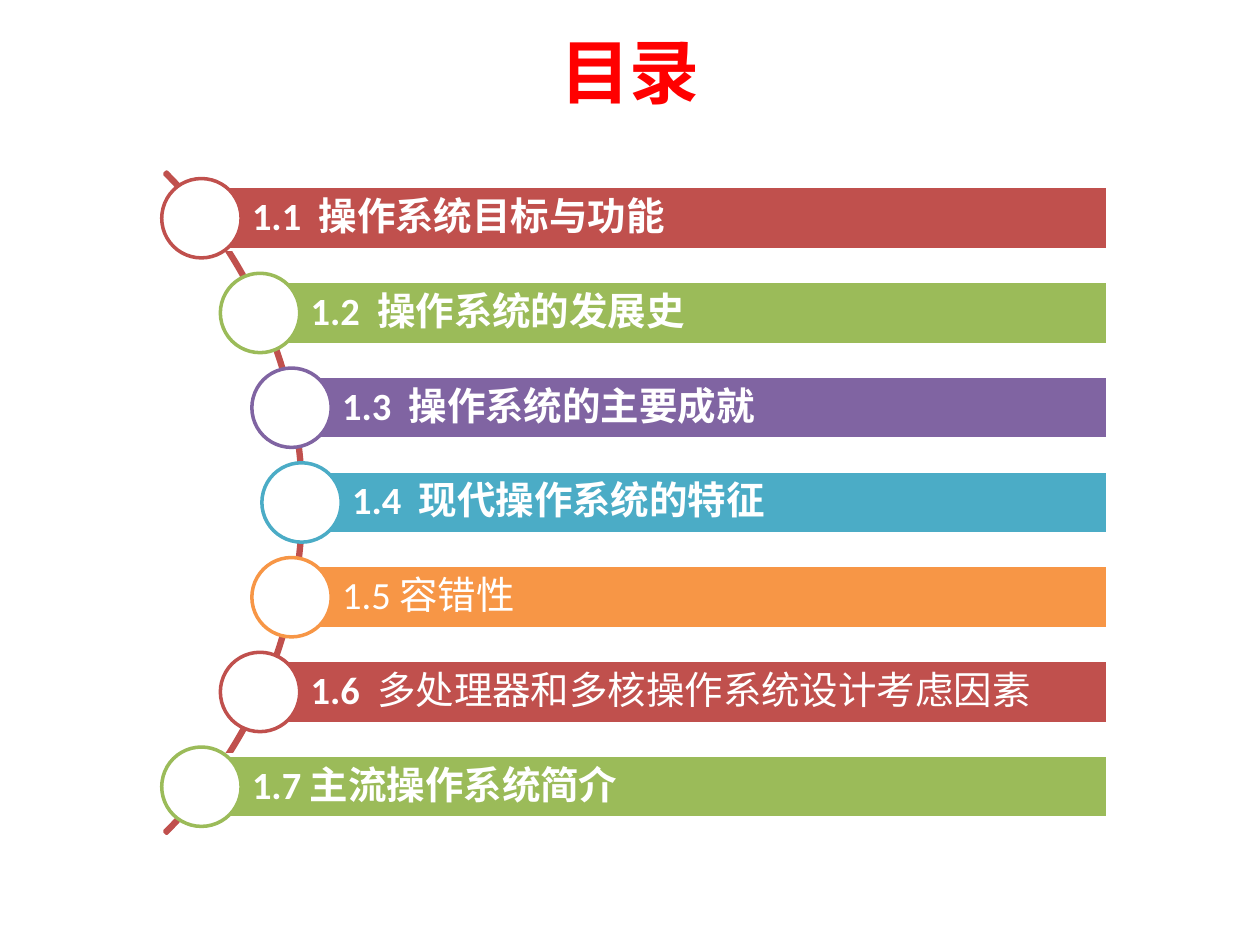
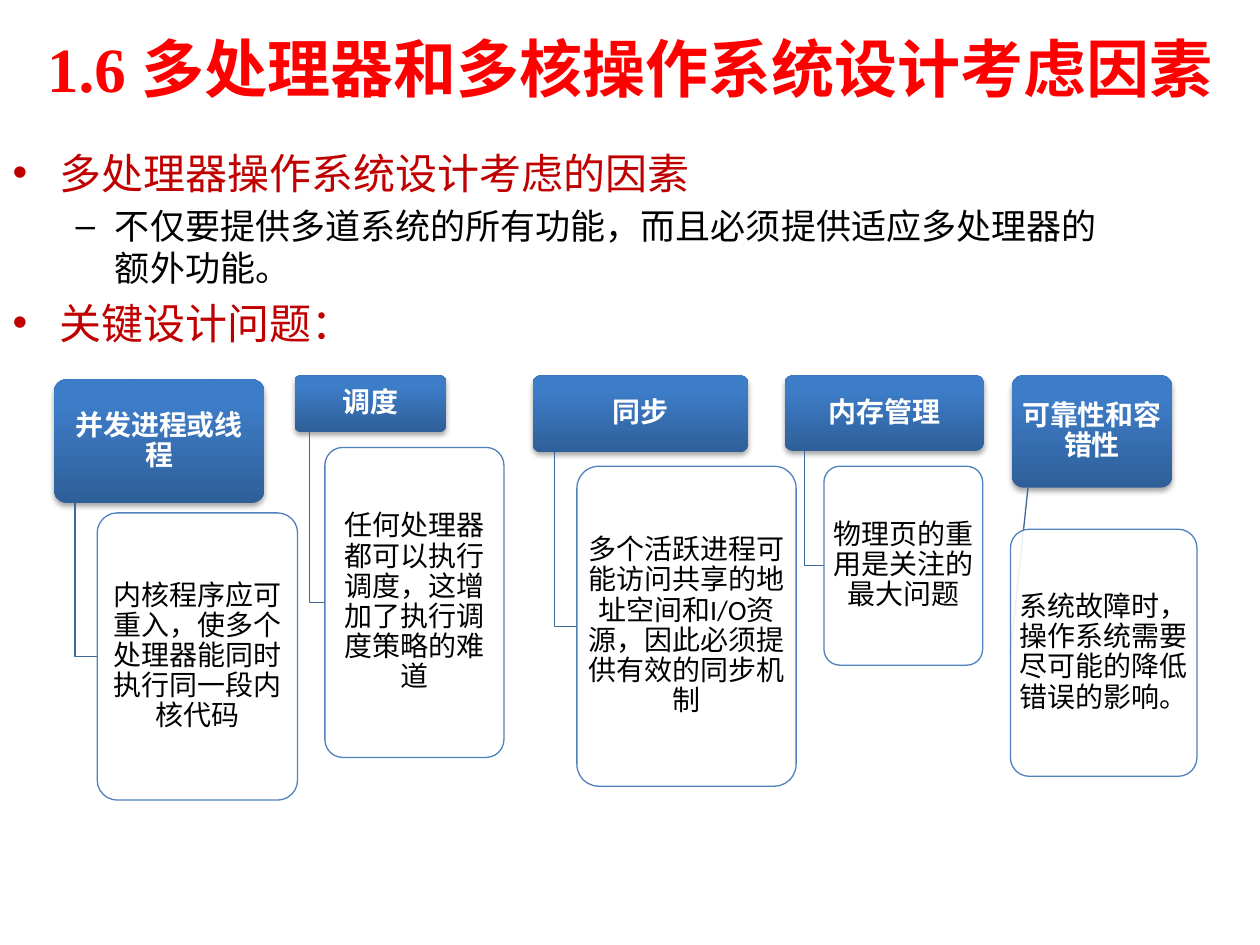
from math import sqrt

from lxml.etree import SubElement
from pptx import Presentation
from pptx.dml.color import RGBColor
from pptx.enum.shapes import MSO_CONNECTOR, MSO_SHAPE
from pptx.enum.text import MSO_ANCHOR, MSO_AUTO_SIZE, PP_ALIGN
from pptx.oxml.ns import qn
from pptx.util import Cm, Pt

HUES = {
    "title": "FF0000", "point": "C00000", "black": "000000", "white": "FFFFFF",
    "red": "C0504D", "green": "9BBB59", "purple": "8064A2", "teal": "4BACC6",
    "orange": "F79646", "edge": "4F81BD", "stem": "3F6797",
    "deep": "2F5F99", "light": "3D7CC7",
}
SERIF = "Times New Roman"
BOLD = {"name": "Calibri", "size": Pt(22), "bold": True}
PLAIN = {**BOLD, "bold": False}
ARIAL = {**PLAIN, "name": "Arial"}
HEAD = {"name": "Calibri", "size": Pt(16), "bold": True}
NOTE = {**HEAD, "bold": False}

TOPICS = [
    ("red", [("1.1  操作系统目标与功能", BOLD)]),
    ("green", [("1.2  操作系统的发展史", BOLD)]),
    ("purple", [("1.3  操作系统的主要成就", BOLD)]),
    ("teal", [("1.4  现代操作系统的特征", BOLD)]),
    ("orange", [("1.5 容错性", PLAIN)]),
    ("red", [("1.6  ", BOLD), ("多处理器和多核操作系统设计考虑因素", ARIAL)]),
    ("green", [("1.7 主流操作系统简介", BOLD)]),
]
POINTS = [
    (0, "多处理器操作系统设计考虑的因素"),
    (1, "不仅要提供多道系统的所有功能，而且必须提供适应多处理器的额外功能。"),
    (0, "关键设计问题："),
]
# Head text, head box, note text, note box; boxes are left, top, width, height in cm
ISSUES = [
    ("并发进程或线程", (1.09, 7.65, 4.24, 2.49),
     "内核程序应可重入，使多个处理器能同时执行同一段内核代码", (1.96, 10.34, 4.04, 5.79)),
    ("调度", (5.94, 7.57, 3.05, 1.14),
     "任何处理器都可以执行调度，这增加了执行调度策略的难道", (6.55, 9.02, 3.61, 6.25)),
    ("同步", (10.74, 7.57, 4.34, 1.55),
     "多个活跃进程可能访问共享的地址空间和I/O资源，因此必须提供有效的同步机制",
     (11.63, 9.4, 4.42, 6.45)),
    ("内存管理", (15.82, 7.57, 4.01, 1.52),
     "物理页的重用是关注的最大问题", (16.61, 9.4, 3.2, 4.01)),
    ("可靠性和容错性", (20.4, 7.57, 3.23, 2.26),
     "系统故障时，操作系统需要尽可能的降低错误的影响。", (20.37, 10.67, 3.76, 4.98)),
]
MID = 10.13  # height of the middle topic and of the arc's centre


def rgb(hue):
    return RGBColor.from_string(HUES[hue])


def apply(item, vals):
    for key, val in vals.items():
        setattr(item, key, val)


def place(item, box):
    apply(item, dict(zip(("left", "top", "width", "height"), map(Cm, box))))


def add_run(para, text, style, hue):
    run = para.add_run()
    run.text = text
    apply(run.font, style)
    run.font.color.rgb = rgb(hue)


def set_line(shape, hue, width):
    shape.line.color.rgb = rgb(hue)
    shape.line.width = Pt(width)


def add_box(slide, kind, box, fill=None, line=None, width=2):
    shape = slide.shapes.add_shape(kind, *map(Cm, box))
    shape.shadow.inherit = False
    if fill:
        shape.fill.solid()
        shape.fill.fore_color.rgb = rgb(fill)
    else:
        shape.fill.background()
    if line:
        set_line(shape, line, width)
    else:
        shape.line.fill.background()
    return shape


def fill_text(shape, runs, hue, align, insets):
    frame = shape.text_frame
    sides = ("margin_left", "margin_top", "margin_right", "margin_bottom")
    apply(frame, dict(zip(sides, map(Cm, insets))))
    apply(frame, {"word_wrap": True, "vertical_anchor": MSO_ANCHOR.MIDDLE})
    para = frame.paragraphs[0]
    apply(para, {"alignment": align, "line_spacing": 0.9})
    for text, style in runs:
        add_run(para, text, style, hue)


def add_title(slide, text, box, size):
    title = slide.shapes.title
    place(title, box)
    frame = title.text_frame
    apply(frame, {"vertical_anchor": MSO_ANCHOR.MIDDLE, "auto_size": MSO_AUTO_SIZE.NONE})
    para = frame.paragraphs[0]
    para.alignment = PP_ALIGN.CENTER
    add_run(para, text, {"name": SERIF, "size": Pt(size), "bold": True}, "title")


def add_points(slide, box):
    body = slide.placeholders[1]
    place(body, box)
    frame = body.text_frame
    frame.auto_size = MSO_AUTO_SIZE.NONE
    for i, (level, text) in enumerate(POINTS):
        para = frame.add_paragraph() if i else frame.paragraphs[0]
        para.level = level
        if not i:
            para.space_before = Pt(0)
        size, hue = ((24, "point"), (20, "black"))[level]
        add_run(para, text, {"name": SERIF, "size": Pt(size)}, hue)


def add_arc(slide):
    arc = add_box(slide, MSO_SHAPE.BLOCK_ARC, (-12.73, 0.71, 18.85, 18.85), line="red")
    for i, val in enumerate((189, 27, 0.003)):
        arc.adjustments[i] = val


def add_topic(slide, row, hue, runs):
    """Draw a bar and its disc, both starting from a curve of radius bend."""
    bend, gap, right, high, disc = 9.14, 1.91, 22.33, 1.27, 1.6
    drop = (row - len(TOPICS) // 2) * gap
    x, y = sqrt(bend ** 2 - drop ** 2) - 3.06, MID + drop
    bar = add_box(slide, MSO_SHAPE.RECTANGLE, (x, y - high / 2, right - x, high), hue, "white")
    fill_text(bar, runs, "white", PP_ALIGN.LEFT, (1.02, 0.15, 0.15, 0.15))
    add_box(slide, MSO_SHAPE.OVAL, (x - disc / 2, y - disc / 2, disc, disc), "white", hue)


def add_card(slide, text, style, hue, box, **look):
    card = add_box(slide, MSO_SHAPE.ROUNDED_RECTANGLE, box, **look)
    card.adjustments[0] = 0.1
    fill_text(card, [(text, style)], hue, PP_ALIGN.CENTER, (0.08, 0.05, 0.08, 0.05))
    return card


def add_depth(card):
    """Give a card its vertical gradient and soft shadow."""
    card.fill.gradient()
    card.fill.gradient_angle = 90
    for stop, hue, pos in zip(card.fill.gradient_stops, ("deep", "light"), (0, 0.8)):
        stop.color.rgb = rgb(hue)
        stop.position = pos
    effects = card._element.spPr.find(qn("a:effectLst"))
    shade = SubElement(effects, qn("a:outerShdw"), blurRad="40000", dist="23000",
                       dir="5400000", rotWithShape="0")
    tint = SubElement(shade, qn("a:srgbClr"), val=HUES["black"])
    SubElement(tint, qn("a:alpha"), val="35000")


def add_elbow(slide, x, top, low, end):
    x, top, low, end = map(Cm, (x, top, low, end))
    pen = slide.shapes.build_freeform(x, top, scale=1.0)
    pen.add_line_segments([(x, low), (end, low)], close=False)
    elbow = pen.convert_to_shape()
    elbow.shadow.inherit = False
    elbow.fill.background()
    set_line(elbow, "stem", 0.75)


def add_slant(slide, *ends):
    slant = slide.shapes.add_connector(MSO_CONNECTOR.STRAIGHT, *map(Cm, ends))
    set_line(slant, "stem", 0.75)
    SubElement(slant._element.spPr, qn("a:effectLst"))
    return slant


def add_issue(slide, head, top_box, note, low_box):
    """Draw a head card, its note card and the line between them."""
    card = add_card(slide, head, HEAD, "white", top_box)
    add_depth(card)
    stem, foot = top_box[0] + top_box[2] / 10, top_box[1] + top_box[3]
    side, mid = low_box[0], low_box[1] + low_box[3] / 2
    slant = None
    if side > stem:
        add_elbow(slide, stem, foot, mid, side)
    else:
        slant = add_slant(slide, stem, foot, side, mid)
    low = add_card(slide, note, NOTE, "black", low_box, fill="white", line="edge", width=0.75)
    tint = low._element.spPr.find(qn("a:solidFill")).find(qn("a:srgbClr"))
    SubElement(tint, qn("a:alpha"), val="90000")
    if slant is not None:
        slant.end_connect(low, 1)


def main():
    deck = Presentation()
    apply(deck, {"slide_width": Cm(25.4), "slide_height": Cm(19.05)})

    toc = deck.slides.add_slide(deck.slide_layouts[5])
    add_title(toc, "目录", (1.27, 0.13, 22.86, 2.59), 40)
    add_arc(toc)
    for row, (hue, runs) in enumerate(TOPICS):
        add_topic(toc, row, hue, runs)

    design = deck.slides.add_slide(deck.slide_layouts[1])
    add_title(design, "1.6 多处理器和多核操作系统设计考虑因素", (0, 0, 25.4, 2.72), 36)
    add_points(design, (0, 2.84, 22.66, 4.47))
    for issue in ISSUES:
        add_issue(design, *issue)

    deck.save("out.pptx")


if __name__ == "__main__":
    main()
